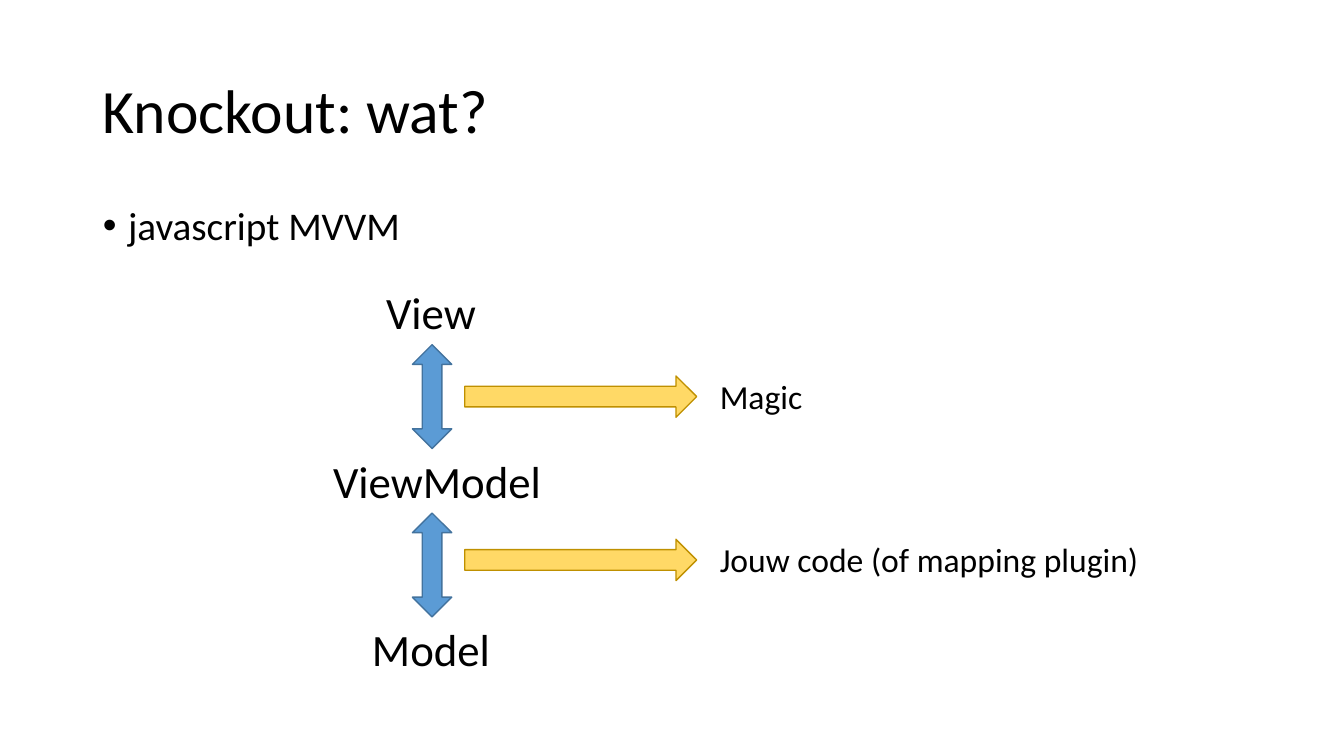
"""Build the slide that explains the MVVM layers of Knockout."""
from dataclasses import dataclass

from pptx import Presentation
from pptx.dml.color import RGBColor
from pptx.enum.shapes import MSO_SHAPE as Preset
from pptx.enum.text import MSO_ANCHOR as Anchor, PP_ALIGN as Align
from pptx.util import Inches, Pt


@dataclass(frozen=True)
class Theme:
    """Colours and type sizes of the slide."""
    font: str = "Calibri"
    ink: str = "000000"
    binding: tuple = ("5B9BD5", "43739E")
    remark: tuple = ("FFD966", "BF9000")
    title: int = 44
    body: int = 28
    layer: int = 32
    note: int = 24


class SlideBuilder:
    """Hold the theme and the current slide."""

    def __init__(self, page, theme):
        """Keep the slide and its style."""
        self.page = page
        self.theme = theme

    def set_text(self, frame, text, size, align=Align.LEFT):
        """Put one styled paragraph in a text frame."""
        frame.word_wrap = True
        frame.text = text
        para = frame.paragraphs[0]
        para.alignment = align
        para.font.name = self.theme.font
        para.font.size = Pt(size)
        para.font.color.rgb = RGBColor.from_string(self.theme.ink)
        return para

    def placeholder(self, index, text, size, area, anchor):
        """Move and fill a template placeholder."""
        holder = self.page.placeholders[index]
        holder.left, holder.top, holder.width, holder.height = map(Inches, area)
        holder.text_frame.vertical_anchor = anchor
        para = self.set_text(holder.text_frame, text, size)
        para.line_spacing = 0.9
        return para

    def bullet(self, text, area):
        """Fill the body placeholder with one bullet."""
        para = self.placeholder(1, text, self.theme.body, area, Anchor.TOP)
        para.space_before = Pt(10)
        properties = para._p.get_or_add_pPr()
        properties.set("marL", str(Inches(0.25)))
        properties.set("indent", str(Inches(-0.25)))

    def label(self, text, size, area, align=Align.LEFT):
        """Add a text box."""
        box = self.page.shapes.add_textbox(*map(Inches, area))
        self.set_text(box.text_frame, text, size, align)

    def arrow(self, preset, colors, area):
        """Add a block arrow with fill and outline."""
        shape = self.page.shapes.add_shape(preset, *map(Inches, area))
        fill, line = map(RGBColor.from_string, colors)
        shape.shadow.inherit = False
        shape.fill.solid()
        shape.fill.fore_color.rgb = fill
        shape.line.color.rgb = line
        shape.line.width = Pt(1)


theme = Theme()
deck = Presentation()
deck.slide_width, deck.slide_height = Inches(13.33), Inches(7.5)
page = deck.slides.add_slide(deck.slide_layouts[1])
builder = SlideBuilder(page, theme)

builder.placeholder(0, "Knockout: wat?", theme.title, (0.92, 0.4, 11.5, 1.45), Anchor.MIDDLE)
builder.bullet("javascript MVVM", (0.92, 2, 11.5, 4.76))

first_top, step, label_height = 2.78, 1.67, 0.64
layers = [("View", 2.03), ("ViewModel", 2.09), ("Model", 2.03)]
for row, (name, left) in enumerate(layers):
    top = first_top + row * step
    builder.label(name, theme.layer, (left, top, 4.49, label_height), Align.CENTER)

notes = [("Magic", 3.73), ("Jouw code (of mapping plugin)", 5.35)]
for row, (note, top) in enumerate(notes):
    binding_top = first_top + label_height + row * step
    builder.arrow(Preset.UP_DOWN_ARROW, theme.binding, (4.09, binding_top, 0.39, step - label_height))
    builder.arrow(Preset.RIGHT_ARROW, theme.remark, (4.61, top, 2.3, 0.41))
    builder.label(note, theme.note, (7.04, top - 0.05, 5.08, 0.5))

deck.save("out.pptx")
